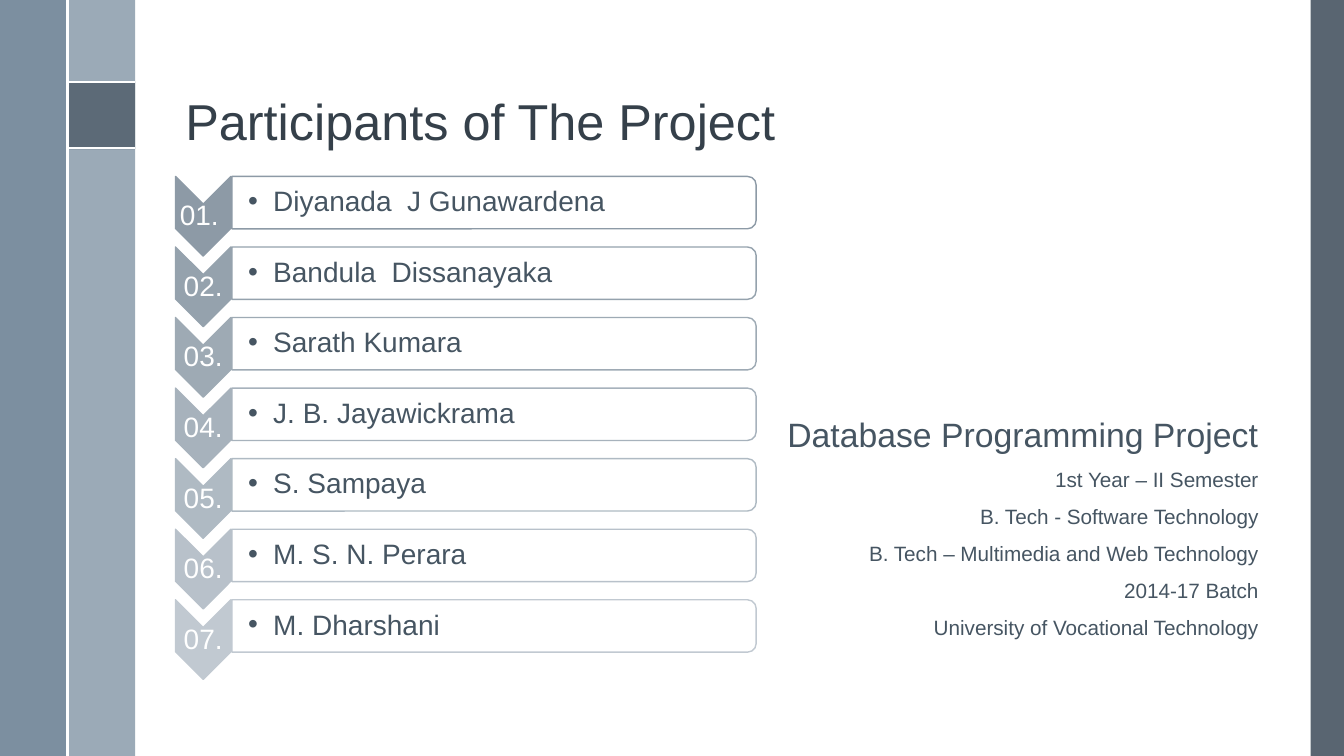
from lxml import etree
from pptx import Presentation
from pptx.dml.color import RGBColor
from pptx.enum.shapes import MSO_CONNECTOR, MSO_SHAPE
from pptx.enum.text import MSO_ANCHOR, PP_ALIGN
from pptx.oxml.ns import qn
from pptx.util import Inches, Pt

RECTANGLE = MSO_SHAPE.RECTANGLE
CHEVRON = MSO_SHAPE.CHEVRON
ROUNDED_BAR = MSO_SHAPE.ROUND_2_SAME_RECTANGLE
STRAIGHT = MSO_CONNECTOR.STRAIGHT
TOP, MIDDLE, BOTTOM = MSO_ANCHOR.TOP, MSO_ANCHOR.MIDDLE, MSO_ANCHOR.BOTTOM
LEFT, CENTER, RIGHT = PP_ALIGN.LEFT, PP_ALIGN.CENTER, PP_ALIGN.RIGHT

FONT = "Arial"
WHITE = RGBColor(0xFF, 0xFF, 0xFF)
TITLE_COLOR = RGBColor(0x35, 0x40, 0x4A)
TEXT_COLOR = RGBColor(0x46, 0x55, 0x62)
SLATE = RGBColor(0x47, 0x55, 0x62)
STEEL = RGBColor(0x6A, 0x80, 0x93)
MIST = RGBColor(0x9B, 0xAA, 0xB7)

PARTICIPANTS = [
    ("01. ", "Diyanada  J Gunawardena", RGBColor(0x8D, 0x9A, 0xA6)),
    ("02.", "Bandula  Dissanayaka", RGBColor(0x95, 0xA2, 0xAD)),
    ("03.", "Sarath Kumara", RGBColor(0x9E, 0xAA, 0xB4)),
    ("04.", "J. B. Jayawickrama", RGBColor(0xA7, 0xB2, 0xBC)),
    ("05.", "S. Sampaya", RGBColor(0xAF, 0xBA, 0xC3)),
    ("06.", "M. S. N. Perara", RGBColor(0xB8, 0xC1, 0xCA)),
    ("07.", "M. Dharshani", RGBColor(0xC1, 0xC9, 0xD1)),
]
ROW_PITCH = 0.7

PROJECT_LINES = [
    ("Database Programming Project", 24.1),
    ("1st Year – II Semester", 14.8),
    ("B. Tech - Software Technology", 14.8),
    ("B. Tech – Multimedia and Web Technology", 14.8),
    ("2014-17 Batch", 14.8),
    ("University of Vocational Technology", 14.8),
]


def add_filled_shape(slide, kind, box, fill, opacity=100, line=None, rotation=0):
    shape = slide.shapes.add_shape(kind, *map(Inches, box))
    shape.shadow.inherit = False
    shape.rotation = rotation
    shape.fill.solid()
    shape.fill.fore_color.rgb = fill
    if opacity < 100:
        color = shape.fill._xPr.find(qn("a:solidFill"))[0]
        etree.SubElement(color, qn("a:alpha"), val=str(opacity * 1000))
    if line is None:
        shape.line.fill.background()
    else:
        shape.line.color.rgb = line
        shape.line.width = Pt(1)


def add_white_line(slide, *ends):
    line = slide.shapes.add_connector(STRAIGHT, *map(Inches, ends))
    line.line.color.rgb = WHITE
    line.line.width = Pt(1.5)
    etree.SubElement(line._element.spPr, qn("a:effectLst"))


def add_text(slide, box, lines, color, align=LEFT, anchor=TOP, spacing=0.9,
             space_before=0, insets=(0.1, 0.05, 0.1, 0.05)):
    """Add a text box holding one paragraph for each (text, size) pair."""
    frame = slide.shapes.add_textbox(*map(Inches, box)).text_frame
    frame.word_wrap = True
    frame.vertical_anchor = anchor
    (frame.margin_left, frame.margin_top,
     frame.margin_right, frame.margin_bottom) = map(Inches, insets)
    frame.text = "\n".join(text for text, _ in lines)
    for paragraph, (_, size) in zip(frame.paragraphs, lines):
        paragraph.alignment = align
        paragraph.line_spacing = spacing
        paragraph.space_before = Pt(space_before)
        font = paragraph.runs[0].font
        font.name = FONT
        font.size = Pt(size)
        font.color.rgb = color
    return frame


def add_bullet(paragraph):
    properties = paragraph._p.get_or_add_pPr()
    properties.set("marL", str(Inches(0.25)))
    properties.set("indent", str(Inches(-0.25)))
    etree.SubElement(properties, qn("a:buFont"), typeface=FONT)
    etree.SubElement(properties, qn("a:buChar"), char="•")


def add_side_bands(slide):
    add_filled_shape(slide, RECTANGLE, (13, 0, 0.33, 7.5), SLATE, 90)
    add_filled_shape(slide, RECTANGLE, (0.67, 0, 0.67, 7.5), MIST)
    add_filled_shape(slide, RECTANGLE, (0, 0, 0.67, 7.5), STEEL, 88)
    add_filled_shape(slide, RECTANGLE, (0.67, 0.81, 0.67, 0.67), SLATE, 75)
    add_white_line(slide, 0.67, 0.81, 1.34, 0.81)
    add_white_line(slide, 0.67, 1.47, 1.34, 1.47)
    add_white_line(slide, 0.67, 0, 0.67, 7.5)


def add_participant(slide, offset, number, name, color):
    add_filled_shape(slide, CHEVRON, (1.62, 1.87 + offset, 0.79, 0.55),
                     color, line=color, rotation=90)
    add_text(slide, (1.74, 2.03 + offset, 0.55, 0.24), [(number, 20)], WHITE,
             CENTER, MIDDLE, insets=(0.01,) * 4)
    add_filled_shape(slide, ROUNDED_BAR, (4.64, -0.59 + offset, 0.52, 5.2),
                     WHITE, 90, color, 90)
    frame = add_text(slide, (2.3, 1.78 + offset, 5.18, 0.46), [(name, 20)],
                     TEXT_COLOR, anchor=MIDDLE, insets=(0.16, 0.01, 0.01, 0.01))
    add_bullet(frame.paragraphs[0])


def main():
    presentation = Presentation()
    presentation.slide_width = Inches(13.33)
    presentation.slide_height = Inches(7.5)
    slide = presentation.slides.add_slide(presentation.slide_layouts[6])

    add_side_bands(slide)
    add_text(slide, (1.74, 0.19, 10.7, 1.36),
             [("Participants of The Project", 36)], TITLE_COLOR, anchor=BOTTOM)
    add_text(slide, (7.66, 4.17, 4.92, 2.33), PROJECT_LINES, TEXT_COLOR,
             RIGHT, spacing=0.7, space_before=14)
    for row, participant in enumerate(PARTICIPANTS):
        add_participant(slide, row * ROW_PITCH, *participant)

    presentation.save("out.pptx")


if __name__ == "__main__":
    main()
